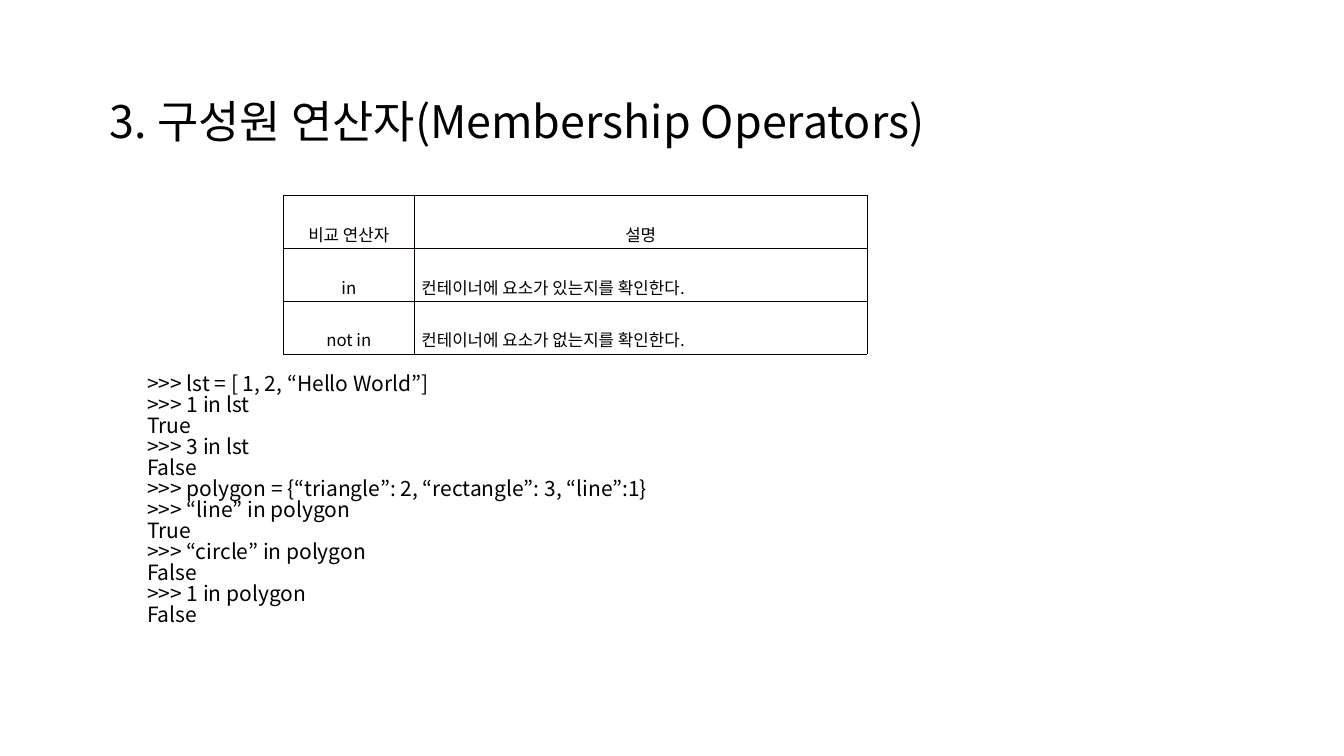
from lxml import etree
from pptx import Presentation, util as u
from pptx.dml.color import RGBColor
from pptx.enum import text
from pptx.oxml.ns import qn

FONT = "Noto Sans CJK KR"
BLACK = RGBColor(0, 0, 0)
WHITE = RGBColor(255, 255, 255)
BORDER = RGBColor(0x0A, 0, 0)

TITLE = "3. 구성원 연산자(Membership Operators)"
OPERATORS = [
    ("비교 연산자", "설명"),
    ("in", "컨테이너에 요소가 있는지를 확인한다."),
    ("not in", "컨테이너에 요소가 없는지를 확인한다."),
]
CODE = [
    ">>> lst = [ 1, 2, “Hello World”]",
    ">>> 1 in lst",
    "True",
    ">>> 3 in lst",
    "False",
    ">>> polygon = {“triangle”: 2, “rectangle”: 3, “line”:1}",
    ">>> “line” in polygon",
    "True",
    ">>> “circle” in polygon",
    "False",
    ">>> 1 in polygon",
    "False",
]
COLUMNS = (1.3, 4.49)
ROW = 0.39


def inches(*values):
    return [u.Inches(v) for v in values]


def format_paragraph(p, size, spacing, align=text.PP_ALIGN.LEFT):
    p.alignment = align
    p.line_spacing = spacing
    p.font.size = u.Pt(size)
    p.font.color.rgb = BLACK
    p.font.name = FONT
    defaults = p._p.pPr.find(qn("a:defRPr"))
    etree.SubElement(defaults, qn("a:ea")).set("typeface", FONT)


def add_borders(cell):
    tc_pr = cell._tc.get_or_add_tcPr()
    for i, side in enumerate(("lnL", "lnR", "lnT", "lnB")):
        line = etree.Element(qn("a:" + side), w=str(u.Pt(0.28)))
        fill = etree.SubElement(line, qn("a:solidFill"))
        etree.SubElement(fill, qn("a:srgbClr")).set("val", str(BORDER))
        tc_pr.insert(i, line)


prs = Presentation()
prs.slide_width, prs.slide_height = inches(13.33, 7.5)
s = prs.slides.add_slide(prs.slide_layouts[5])

title = s.shapes.title
title.left, title.top, title.width, title.height = inches(0.99, 0.64, 11.43, 1.17)
tf = title.text_frame
tf.text = TITLE
tf.vertical_anchor = text.MSO_ANCHOR.MIDDLE
format_paragraph(tf.paragraphs[0], 32, 0.9)

table = s.shapes.add_table(
    len(OPERATORS), len(COLUMNS),
    *inches(2.81, 1.94, sum(COLUMNS), ROW * len(OPERATORS))).table
table.first_row = table.horz_banding = False
for column, width in zip(table.columns, COLUMNS):
    column.width = u.Inches(width)
for r, row in enumerate(OPERATORS):
    table.rows[r].height = u.Inches(ROW)
    for c, value in enumerate(row):
        cell = table.cell(r, c)
        cell.text = value
        cell.vertical_anchor = text.MSO_ANCHOR.MIDDLE
        cell.margin_left = cell.margin_right = u.Inches(0.07)
        cell.margin_top = cell.margin_bottom = u.Inches(0.02)
        cell.fill.solid()
        cell.fill.fore_color.rgb = WHITE
        add_borders(cell)
        p = cell.text_frame.paragraphs[0]
        p.space_after = u.Pt(10)
        justified = r > 0 and c > 0
        format_paragraph(p, 12, 2.0,
                         text.PP_ALIGN.JUSTIFY if justified else text.PP_ALIGN.CENTER)

tf = s.shapes.add_textbox(*inches(1.46, 3.74, 10.86, 3.02)).text_frame
tf.word_wrap = True
tf.margin_left = tf.margin_right = tf.margin_top = tf.margin_bottom = 0
tf.text = "\n".join(CODE)
for p in tf.paragraphs:
    p.space_before = u.Pt(2.4)
    format_paragraph(p, 15, 0.7)

prs.save("out.pptx")
